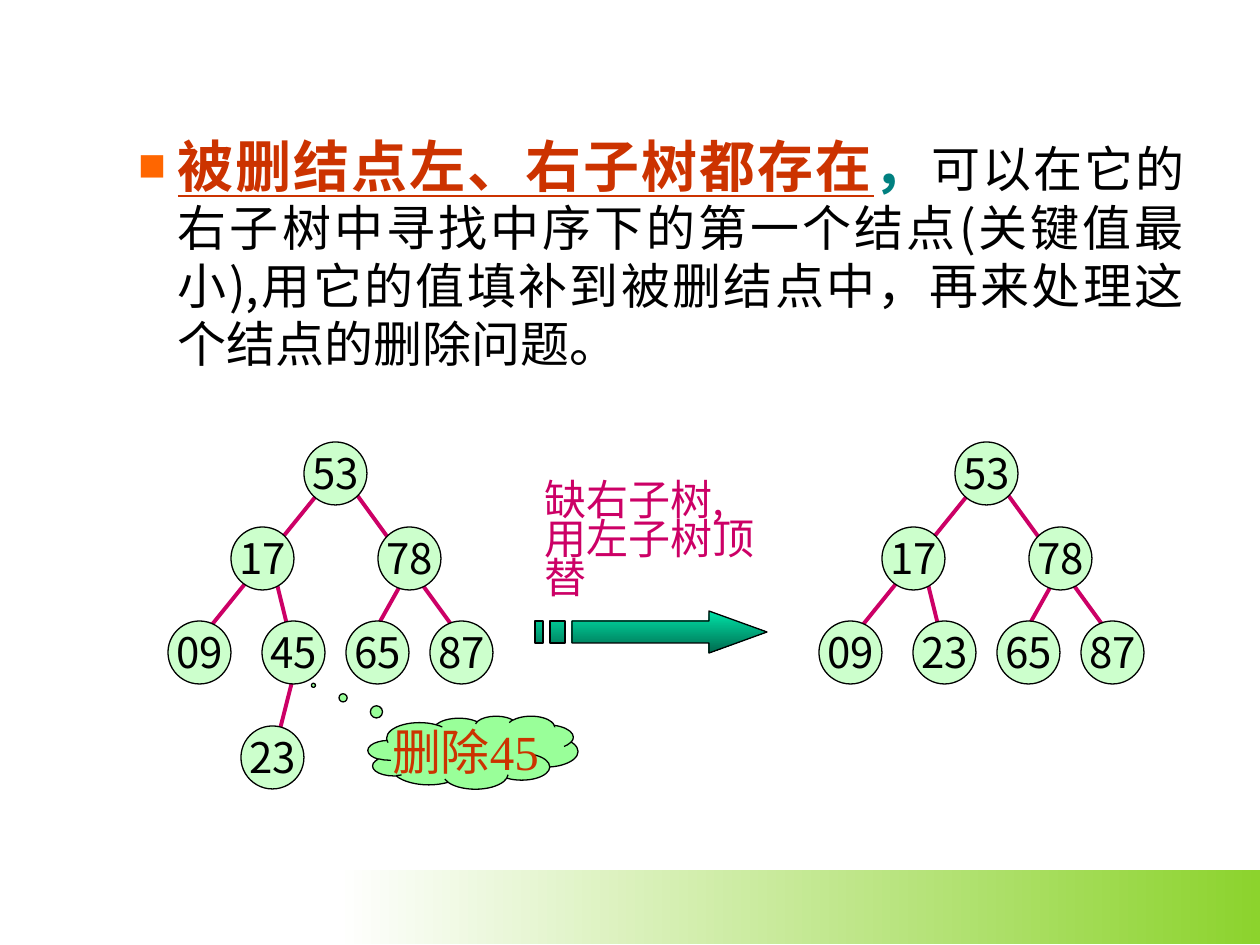
from dataclasses import dataclass

from lxml import etree
from pptx import Presentation
from pptx import util as u
from pptx.dml.color import RGBColor
from pptx.enum import shapes, text
from pptx.oxml.ns import qn

PX = 914400 / 126
SANS, SERIF = "Noto Sans CJK SC", "Times New Roman"

BLACK = RGBColor(0x00, 0x00, 0x00)
WHITE = RGBColor(0xFF, 0xFF, 0xFF)
RED = RGBColor(0xCC, 0x33, 0x00)
TEAL = RGBColor(0x00, 0x80, 0x80)
MAGENTA = RGBColor(0xCC, 0x00, 0x66)
NODE_GREEN = RGBColor(0xCC, 0xFF, 0xCC)
CLOUD_GREEN = RGBColor(0x99, 0xFF, 0x99)
BAND_GREEN = RGBColor(0x8C, 0xD3, 0x2D)
ARROW_LIGHT = RGBColor(0x00, 0xE4, 0xA8)
ARROW_DARK = RGBColor(0x00, 0x6A, 0x4E)

NODE_SIZE = 63
RIGHT_TREE_SHIFT = 651


@dataclass(frozen=True)
class Node:
    key: str
    x: int
    y: int


@dataclass(frozen=True)
class Edge:
    x1: int
    y1: int
    x2: int
    y2: int


SHARED_NODES = [
    Node("53", 304, 442), Node("78", 378, 527), Node("65", 346, 621),
    Node("17", 231, 527), Node("87", 430, 621), Node("09", 168, 621),
]
SHARED_EDGES = [
    Edge(273, 568, 294, 653), Edge(325, 485, 189, 653),
    Edge(410, 568, 368, 643), Edge(357, 495, 472, 653),
]


def px(length: float) -> int:
    return round(length * PX)


def set_format(target, values: dict) -> None:
    for name, value in values.items():
        setattr(target, name, value)


def add_run(paragraph, words: str, size: int, color: RGBColor,
            latin: str = SANS, **extra) -> None:
    run = paragraph.add_run()
    run.text = words
    set_format(run.font, {"size": u.Pt(size), "name": latin, **extra})
    run.font.color.rgb = color
    east_asian = etree.SubElement(run.font._element, qn("a:ea"))
    east_asian.set("typeface", SANS)


def set_frame(shape, left: int = 13, top: int = 6, right: int = 13,
              bottom: int = 6, **extra):
    frame = shape.text_frame
    set_format(frame, {"margin_left": px(left), "margin_top": px(top),
                       "margin_right": px(right), "margin_bottom": px(bottom),
                       "word_wrap": True, **extra})
    return frame.paragraphs[0]


def outline(shape) -> None:
    shape.shadow.inherit = False
    shape.line.color.rgb = BLACK
    shape.line.width = u.Pt(0.75)


def fill_gradient(shape, first: RGBColor, last: RGBColor, angle: int) -> None:
    shape.fill.gradient()
    shape.fill.gradient_angle = angle
    for stop, color in zip(shape.fill.gradient_stops, (first, last)):
        stop.color.rgb = color


def add_preset(slide, kind, x: int, y: int, width: int, height: int):
    return slide.shapes.add_shape(kind, px(x), px(y), px(width), px(height))


def add_edge(slide, edge: Edge, shift: int) -> None:
    branch = slide.shapes.add_connector(
        shapes.MSO_CONNECTOR.STRAIGHT, px(edge.x1 + shift), px(edge.y1),
        px(edge.x2 + shift), px(edge.y2))
    branch.line.color.rgb = MAGENTA
    branch.line.width = u.Pt(2.25)
    etree.SubElement(branch._element.spPr, qn("a:effectLst"))


def add_node(slide, node: Node, shift: int) -> None:
    circle = add_preset(slide, shapes.MSO_SHAPE.OVAL, node.x + shift, node.y,
                        NODE_SIZE, NODE_SIZE)
    outline(circle)
    circle.fill.solid()
    circle.fill.fore_color.rgb = NODE_GREEN
    label = set_frame(circle, top=15, word_wrap=False,
                      vertical_anchor=text.MSO_ANCHOR.MIDDLE)
    set_format(label, {"alignment": text.PP_ALIGN.CENTER,
                       "line_spacing": u.Pt(22.5)})
    add_run(label, node.key, 24, BLACK)


def add_tree(slide, nodes: list[Node], edges: list[Edge], shift: int = 0) -> None:
    for edge in edges:
        add_edge(slide, edge, shift)
    for node in nodes:
        add_node(slide, node, shift)


def add_explanation(slide) -> None:
    body = slide.shapes.add_textbox(px(63), px(42), px(1134), px(441))
    rule = set_frame(body, top=99)
    set_format(rule, {"alignment": text.PP_ALIGN.JUSTIFY,
                      "line_spacing": u.Pt(33)})
    properties = rule._p.get_or_add_pPr()
    properties.set("marL", str(px(102)))
    properties.set("indent", str(px(-39)))
    color = etree.SubElement(properties, qn("a:buClr"))
    etree.SubElement(color, qn("a:srgbClr")).set("val", "FF6600")
    etree.SubElement(properties, qn("a:buSzPct")).set("val", "50000")
    etree.SubElement(properties, qn("a:buFont")).set("typeface", SANS)
    etree.SubElement(properties, qn("a:buChar")).set("char", "■")
    add_run(rule, "被删结点左、右子树都存在", 32, RED, bold=True, underline=True)
    add_run(rule, "，", 32, TEAL, bold=True)
    add_run(rule, "可以在它的右子树中寻找中序下的第一个结点(关键值最小),"
                  "用它的值填补到被删结点中，再来处理这个结点的删除问题。", 28, BLACK)


def add_cloud(slide) -> None:
    cloud = add_preset(slide, shapes.MSO_SHAPE.CLOUD_CALLOUT, 368, 716, 210, 73)
    cloud.adjustments[0], cloud.adjustments[1] = -0.76, -0.92
    outline(cloud)
    cloud.fill.solid()
    cloud.fill.fore_color.rgb = CLOUD_GREEN
    deletion = set_frame(cloud, word_wrap=False,
                         vertical_anchor=text.MSO_ANCHOR.MIDDLE)
    deletion.alignment = text.PP_ALIGN.CENTER
    add_run(deletion, "删除45", 28, RED, SERIF)


def add_striped_arrow(slide) -> None:
    top, bottom = 621, 643
    outlines = [
        [(709, 611), (709, top), (572, top), (572, bottom), (709, bottom),
         (709, 653), (767, 632)],
        *([(left, top), (left, bottom), (right, bottom), (right, top)]
          for left, right in ((550, 565), (535, 543))),
    ]
    builder = slide.shapes.build_freeform(*outlines[0][0], scale=PX)
    for index, (start, *rest) in enumerate(outlines):
        if index:
            builder.move_to(*start)
        builder.add_line_segments(rest, close=True)
    arrow = builder.convert_to_shape()
    outline(arrow)
    fill_gradient(arrow, ARROW_LIGHT, ARROW_DARK, 270)


def add_caption(slide) -> None:
    box = slide.shapes.add_textbox(px(532), px(472), px(267), px(134))
    caption = set_frame(box, top=12, right=30)
    caption.line_spacing = u.Pt(22.5)
    add_run(caption, "缺右子树, 用左子树顶替", 24, MAGENTA)


def main() -> None:
    deck = Presentation()
    deck.slide_width, deck.slide_height = px(1260), px(945)
    slide = deck.slides.add_slide(deck.slide_layouts[6])

    # Footer band
    band = add_preset(slide, shapes.MSO_SHAPE.RECTANGLE, 336, 870, 924, 74)
    band.shadow.inherit = False
    band.line.fill.background()
    fill_gradient(band, WHITE, BAND_GREEN, 0)

    add_explanation(slide)

    # Tree before the deletion, with the node to delete
    add_tree(slide,
             SHARED_NODES + [Node("23", 241, 726), Node("45", 262, 621)],
             [Edge(294, 674, 273, 757)] + SHARED_EDGES)
    add_cloud(slide)

    # Step from one tree to the other
    add_striped_arrow(slide)
    add_caption(slide)

    # Tree after the deletion
    add_tree(slide, SHARED_NODES + [Node("23", 262, 621)], SHARED_EDGES,
             RIGHT_TREE_SHIFT)

    deck.save("out.pptx")


if __name__ == "__main__":
    main()
